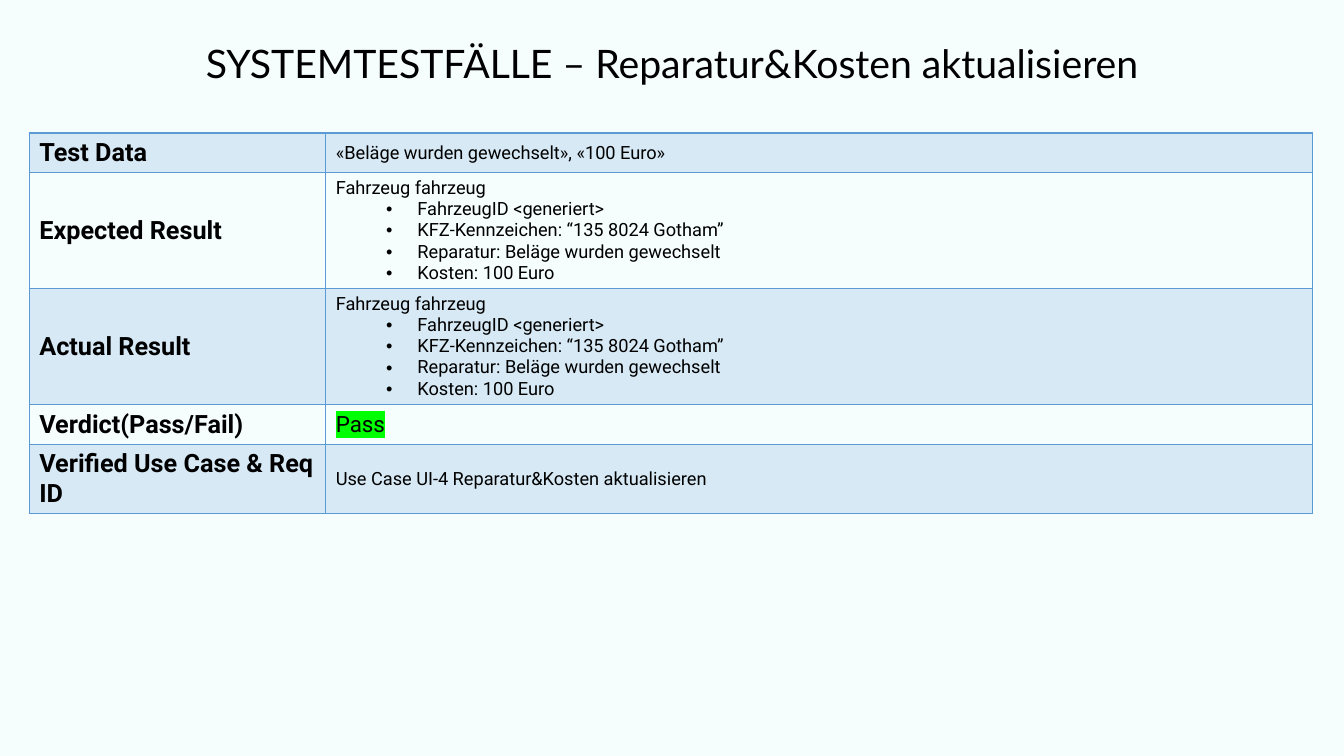
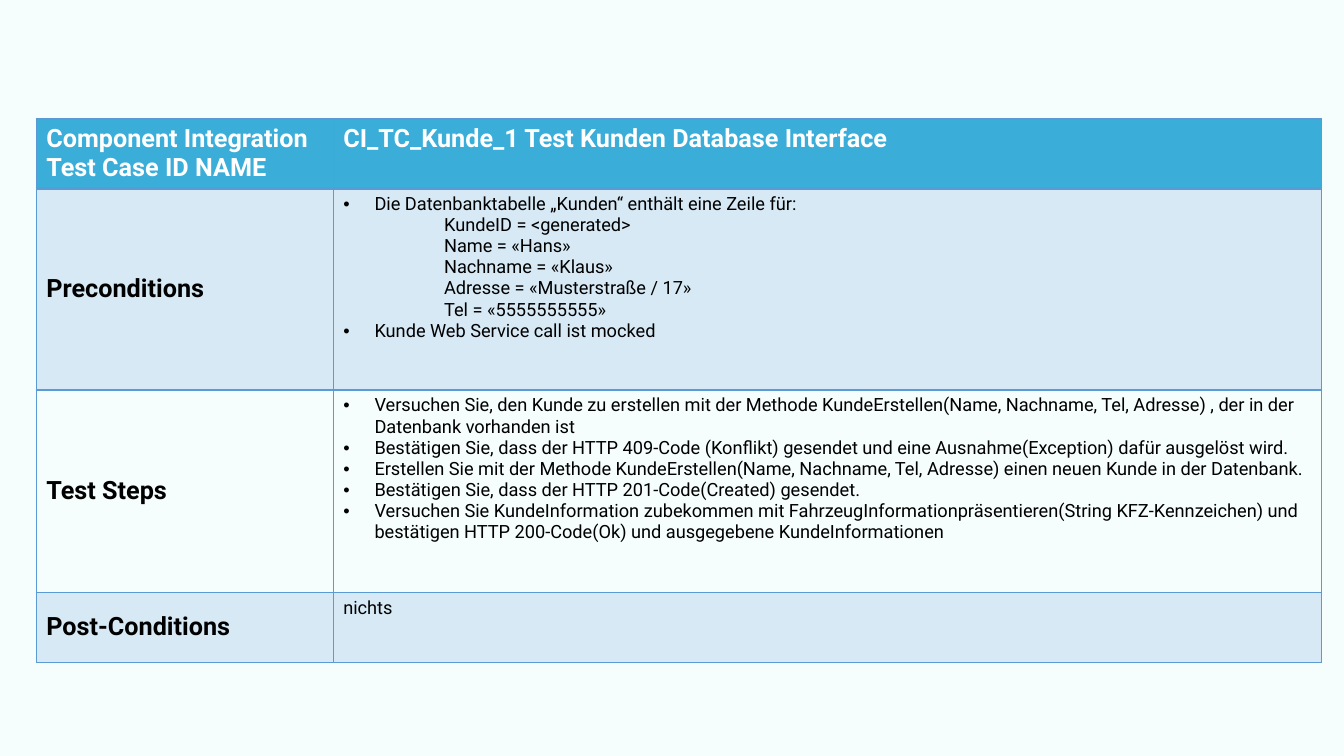
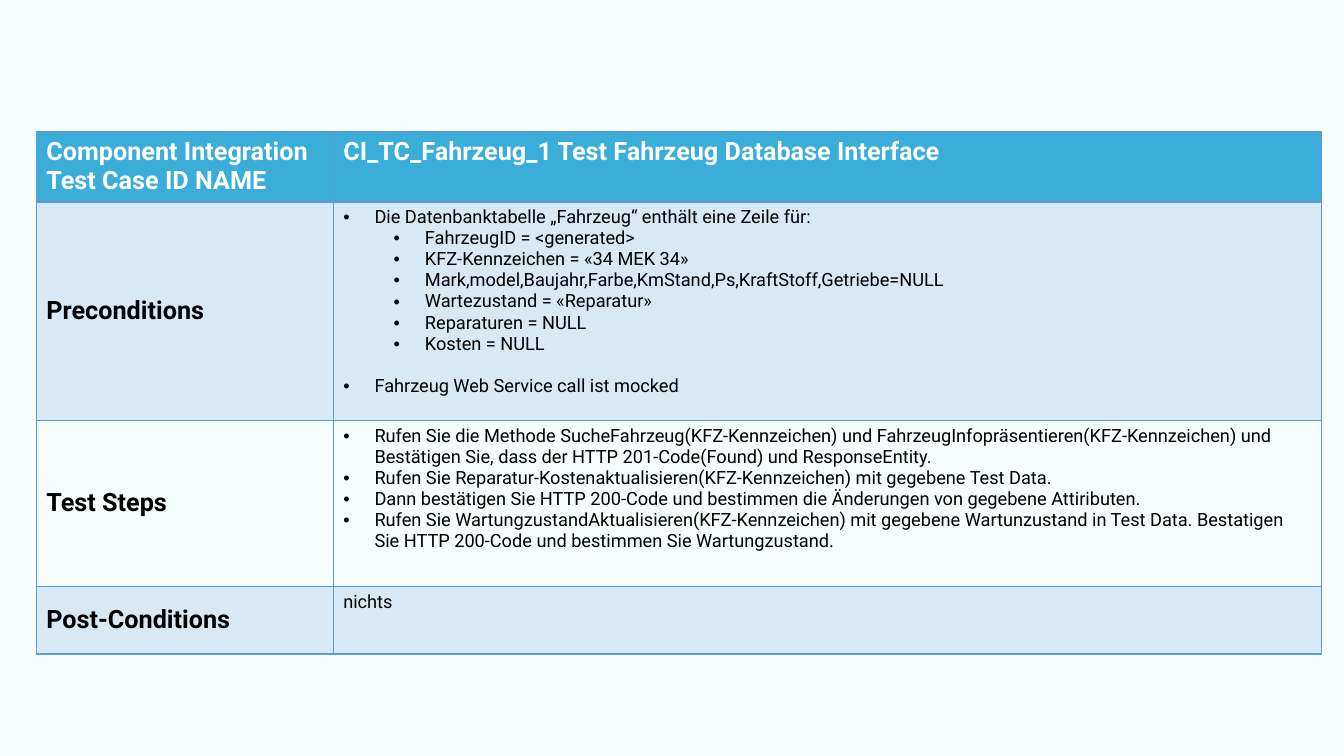
from lxml import etree
from pptx import Presentation
from pptx.dml.color import RGBColor
from pptx.enum.text import MSO_ANCHOR, PP_ALIGN
from pptx.oxml.ns import qn
from pptx.util import Emu, Inches, Pt

MIDDLE, TOP, CENTER = MSO_ANCHOR.MIDDLE, MSO_ANCHOR.TOP, PP_ALIGN.CENTER
TITLE_ONLY, BLANK = 5, 6

BLACK, WHITE = "000000", "FFFFFF"
PAGE_TINT, HEADER, BLUE, GREEN = "4EDAE7", "3AADD9", "5B9BD5", "00FF00"

TITLE_FONT = {"size": Pt(28), "name": "Lato"}
LABEL_FONT = {"size": Pt(18), "bold": True, "name": "Roboto"}
BODY_FONT = {"size": Pt(13), "bold": False, "name": "Roboto"}
VERDICT_FONT = {**BODY_FONT, "size": Pt(16)}

# Kind of line: level, left margin, first-line indent
LINE_KINDS = {
    "plain": (0, 0, 0),
    "bullet": (0, 0.31, -0.31),
    "sub": (1, 0.81, -0.31),
    "inset": (2, 1, 0),
}
LABEL_SHARE = 0.231
BLANK_LINE = Pt(15.2)


def color(value):
    return RGBColor.from_string(value)


def add_xml(parent, tag, **attributes):
    return etree.SubElement(parent, qn(tag), attributes)


def paint(fill, owner, value, alpha=None):
    """Fill with a colour; alpha is an opacity in percent."""
    fill.solid()
    fill.fore_color.rgb = color(value)
    if alpha is not None:
        tone = list(owner.iter(qn("a:srgbClr")))[-1]
        add_xml(tone, "a:alpha", val=str(alpha * 1000))


def format_span(span, font, tone=BLACK, highlight=None):
    for name, value in font.items():
        setattr(span.font, name, value)
    span.font.color.rgb = color(tone)
    if highlight:
        mark = etree.Element(qn("a:highlight"))
        add_xml(mark, "a:srgbClr", val=highlight)
        span.font.fill  # the text colour comes before the highlight
        span._r.get_or_add_rPr().find(qn("a:solidFill")).addnext(mark)


def write_line(para, text, kind="plain", gap=None, font=BODY_FONT, **tones):
    level, margin, indent = LINE_KINDS[kind]
    para.level = level
    if gap:
        para.space_before = gap
    props = para._p.get_or_add_pPr()
    props.set("marL", str(Inches(margin)))
    props.set("indent", str(Inches(indent)))
    if indent:
        add_xml(props, "a:buFont", typeface="Arial")
        add_xml(props, "a:buChar", char="•")
    span = para.add_run()
    span.text = text
    format_span(span, font, **tones)


def write_cell(cell, lines, anchor):
    """Write lines, each a dict of write_line arguments."""
    cell.vertical_anchor = anchor
    frame = cell.text_frame
    for index, line in enumerate(lines):
        para = frame.add_paragraph() if index else frame.paragraphs[0]
        write_line(para, **line)


def draw_cell(cell, is_header, is_banded):
    props = cell._tc.get_or_add_tcPr()
    for side in "LRTB":
        width = Pt(2 if is_header and side == "B" else 1)
        edge = add_xml(props, f"a:ln{side}", w=str(width))
        add_xml(add_xml(edge, "a:solidFill"), "a:srgbClr", val=BLUE)
    if is_header:
        paint(cell.fill, props, HEADER)
    elif is_banded:
        paint(cell.fill, props, BLUE, 20)
    else:
        cell.fill.background()


def add_test_table(page, box, rows, header=None):
    """Rows are (height, label, lines, anchor); bands start below a header."""
    left, top, width = (Inches(value) for value in box)
    if header:
        rows = [header] + rows
    heights = [Inches(row[0]) for row in rows]
    table = page.shapes.add_table(
        len(rows), 2, left, top, width, Emu(sum(heights))).table
    table.first_row = table.horz_banding = False
    label_width = Emu(int(width * LABEL_SHARE))
    table.columns[0].width = label_width
    table.columns[1].width = Emu(width - label_width)
    for index, (_, label, lines, anchor) in enumerate(rows):
        table.rows[index].height = heights[index]
        is_header = header is not None and index == 0
        is_banded = index % 2 == (1 if header else 0)
        label_line = {"text": label, "font": LABEL_FONT,
                      "tone": WHITE if is_header else BLACK}
        label_anchor = TOP if is_header else MIDDLE
        contents = (([label_line], label_anchor), (lines, anchor))
        for column, (cell_lines, cell_anchor) in enumerate(contents):
            cell = table.cell(index, column)
            draw_cell(cell, is_header, is_banded)
            write_cell(cell, cell_lines, cell_anchor)


def lines_of(kind, *texts):
    return [{"text": text, "kind": kind} for text in texts]


def add_title(page, text):
    title = page.shapes.title
    title.left, title.top, title.width, title.height = (
        Inches(value) for value in (0.29, 0.38, 12.75, 0.55))
    title.text_frame.vertical_anchor = MIDDLE
    title.text_frame.word_wrap = True
    para = title.text_frame.paragraphs[0]
    para.alignment = CENTER
    para.line_spacing = 0.9
    span = para.add_run()
    span.text = text
    format_span(span, TITLE_FONT)


def add_system_test(deck):
    page = deck.slides.add_slide(deck.slide_layouts[TITLE_ONLY])
    add_title(page, "SYSTEMTESTFÄLLE – Reparatur&Kosten aktualisieren")
    vehicle = lines_of("plain", "Fahrzeug fahrzeug") + lines_of(
        "sub",
        "FahrzeugID <generiert>",
        "KFZ-Kennzeichen: “135 8024 Gotham”",
        "Reparatur: Beläge wurden gewechselt",
        "Kosten: 100 Euro")
    verdict = {"text": "Pass", "font": VERDICT_FONT, "highlight": GREEN}
    add_test_table(page, (0.29, 1.32, 12.73), [
        (0.39, "Test Data",
         lines_of("plain", "«Beläge wurden gewechselt», «100 Euro»"), MIDDLE),
        (1.15, "Expected Result", vehicle, TOP),
        (1.15, "Actual Result", vehicle, MIDDLE),
        (0.39, "Verdict(Pass/Fail)", [verdict], MIDDLE),
        (0.69, "Verified Use Case & Req ID",
         lines_of("plain", "Use Case UI-4 Reparatur&Kosten aktualisieren"),
         MIDDLE),
    ])


def add_integration_test(deck, top, name, heights, preconditions, steps):
    page = deck.slides.add_slide(deck.slide_layouts[BLANK])
    before, during, after = heights
    name_line = {"text": name, "font": LABEL_FONT, "tone": WHITE}
    add_test_table(page, (0.36, top, 12.75), [
        (before, "Preconditions", preconditions, TOP),
        (during, "Test Steps", lines_of("bullet", *steps), TOP),
        (after, "Post-Conditions", lines_of("plain", "nichts"), TOP),
    ], header=(0.69, "Component Integration Test Case ID NAME",
               [name_line], TOP))


def add_customer_test(deck):
    preconditions = (
        lines_of("bullet",
                 "Die Datenbanktabelle „Kunden“ enthält eine Zeile für:")
        + lines_of("inset",
                   "KundeID = <generated>",
                   "Name = «Hans»",
                   "Nachname = «Klaus»",
                   "Adresse = «Musterstraße / 17»",
                   "Tel = «5555555555»")
        + lines_of("bullet", "Kunde Web Service call ist mocked"))
    steps = [
        "Versuchen Sie, den Kunde zu erstellen mit der Methode "
        "KundeErstellen(Name, Nachname, Tel, Adresse) , der in der "
        "Datenbank vorhanden ist",
        "Bestätigen Sie, dass der HTTP 409-Code (Konflikt) gesendet und "
        "eine Ausnahme(Exception) dafür ausgelöst wird.",
        "Erstellen Sie mit der Methode KundeErstellen(Name, Nachname, Tel, "
        "Adresse) einen neuen Kunde in der Datenbank.",
        "Bestätigen Sie, dass der HTTP 201-Code(Created) gesendet.",
        "Versuchen Sie KundeInformation zubekommen mit "
        "FahrzeugInformationpräsentieren(String KFZ-Kennzeichen) und "
        "bestätigen HTTP 200-Code(Ok) und ausgegebene KundeInformationen",
    ]
    add_integration_test(
        deck, 1.18, "CI_TC_Kunde_1 Test Kunden Database Interface",
        (2, 2.01, 0.69), preconditions, steps)


def add_vehicle_test(deck):
    mocked = {"text": "Fahrzeug Web Service call ist mocked",
              "kind": "bullet", "gap": BLANK_LINE}
    preconditions = (
        lines_of("bullet",
                 "Die Datenbanktabelle „Fahrzeug“ enthält eine Zeile für:")
        + lines_of("sub",
                   "FahrzeugID = <generated>",
                   "KFZ-Kennzeichen = «34 MEK 34»",
                   "Mark,model,Baujahr,Farbe,KmStand,Ps,KraftStoff,"
                   "Getriebe=NULL",
                   "Wartezustand = «Reparatur»",
                   "Reparaturen = NULL",
                   "Kosten = NULL")
        + [mocked])
    steps = [
        "Rufen Sie die Methode SucheFahrzeug(KFZ-Kennzeichen) und "
        "FahrzeugInfopräsentieren(KFZ-Kennzeichen) und Bestätigen Sie, "
        "dass der HTTP 201-Code(Found) und ResponseEntity.",
        "Rufen Sie Reparatur-Kostenaktualisieren(KFZ-Kennzeichen) mit "
        "gegebene Test Data.",
        "Dann bestätigen Sie HTTP 200-Code und bestimmen die Änderungen "
        "von gegebene Attiributen.",
        "Rufen Sie WartungzustandAktualisieren(KFZ-Kennzeichen) mit "
        "gegebene Wartunzustand in Test Data. Bestatigen Sie HTTP 200-Code "
        "und bestimmen Sie Wartungzustand.",
    ]
    add_integration_test(
        deck, 1.31, "CI_TC_Fahrzeug_1 Test Fahrzeug Database Interface",
        (2.17, 1.65, 0.67), preconditions, steps)


def main():
    deck = Presentation()
    deck.slide_width, deck.slide_height = Inches(13.33), Inches(7.5)
    master = deck.slide_master
    paint(master.background.fill, master.element.cSld, PAGE_TINT, 5)
    add_system_test(deck)
    add_customer_test(deck)
    add_vehicle_test(deck)
    deck.save("out.pptx")


if __name__ == "__main__":
    main()
